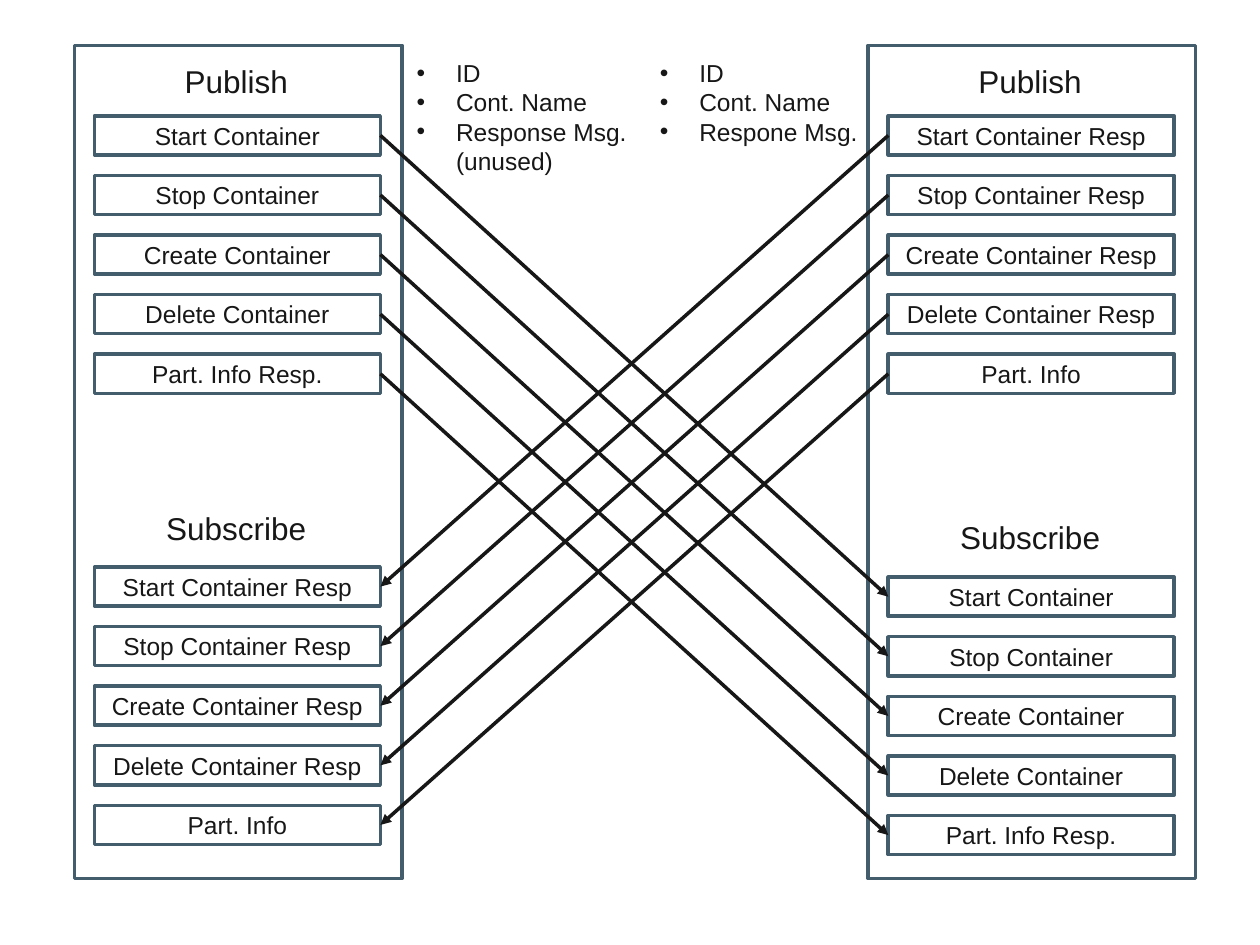
from pptx import Presentation
from pptx.dml.color import RGBColor
from pptx.enum.shapes import MSO_CONNECTOR as Connector, MSO_SHAPE as Shape
from pptx.enum.text import MSO_ANCHOR as Anchor, MSO_AUTO_SIZE as AutoSize, PP_ALIGN as Align
from pptx.oxml.ns import qn
from pptx.util import Pt
from lxml.etree import SubElement

WHITE = RGBColor(0xFF, 0xFF, 0xFF)
SLATE = RGBColor(0x43, 0x5D, 0x6C)
INK = RGBColor(0x17, 0x17, 0x17)

PANEL_TOP, PANEL_WIDTH, PANEL_HEIGHT = 25.9, 187.2, 476.2
TOPIC_INSET, TOPIC_WIDTH, TOPIC_HEIGHT, TOPIC_PITCH = 11.5, 163.4, 22.4, 34.05
LEFT_PANEL, RIGHT_PANEL = 42.5, 496.1
PUBLISH_TOP, LEFT_SUBSCRIBE_TOP, RIGHT_SUBSCRIBE_TOP = 66.2, 324, 329.8
BULLET_INDENT = 22.5

REQUESTS = ["Start Container", "Stop Container", "Create Container",
            "Delete Container", "Part. Info Resp."]
RESPONSES = ["Start Container Resp", "Stop Container Resp", "Create Container Resp",
             "Delete Container Resp", "Part. Info"]


def apply_format(target, values):
    for name, value in values.items():
        setattr(target, name, value)


def write_paragraph(paragraph, text, size, alignment):
    paragraph.alignment = alignment
    run = paragraph.add_run()
    run.text = text
    apply_format(run.font, {"name": "Arial", "size": Pt(size)})
    run.font.color.rgb = INK


def add_box(slide, left, top, width, height, text=None):
    shape = slide.shapes.add_shape(Shape.RECTANGLE, Pt(left), Pt(top), Pt(width), Pt(height))
    shape.shadow.inherit = False
    shape.fill.solid()
    shape.fill.fore_color.rgb = WHITE
    shape.line.color.rgb = SLATE
    shape.line.width = Pt(2)
    if text:
        apply_format(shape.text_frame, {"vertical_anchor": Anchor.MIDDLE, "word_wrap": True,
                                        "margin_top": 0, "margin_bottom": 0})
        write_paragraph(shape.text_frame.paragraphs[0], text, 14, Align.CENTER)


def add_text_frame(slide, left, top, width, height, wrap):
    frame = slide.shapes.add_textbox(Pt(left), Pt(top), Pt(width), Pt(height)).text_frame
    apply_format(frame, {"word_wrap": wrap, "auto_size": AutoSize.SHAPE_TO_FIT_TEXT})
    return frame


def add_heading(slide, panel_left, top, text):
    frame = add_text_frame(slide, panel_left + 45, top, 95, 29, True)
    write_paragraph(frame.paragraphs[0], text, 18, Align.CENTER)


def add_bullets(slide, left, width, height, items, wrap):
    frame = add_text_frame(slide, left, 29.6, width, height, wrap)
    for index, item in enumerate(items):
        paragraph = frame.add_paragraph() if index else frame.paragraphs[0]
        write_paragraph(paragraph, item, 14, Align.LEFT)
        properties = paragraph._p.get_or_add_pPr()
        properties.set("marL", str(Pt(BULLET_INDENT)))
        properties.set("indent", str(-Pt(BULLET_INDENT)))
        SubElement(properties, qn("a:buFont"), typeface="Arial")
        SubElement(properties, qn("a:buChar"), char="•")


def add_topics(slide, panel_left, top, topics):
    for index, topic in enumerate(topics):
        add_box(slide, panel_left + TOPIC_INSET, top + index * TOPIC_PITCH,
                TOPIC_WIDTH, TOPIC_HEIGHT, topic)


def add_arrow(slide, start_x, start_y, end_x, end_y):
    connector = slide.shapes.add_connector(
        Connector.STRAIGHT, Pt(start_x), Pt(start_y), Pt(end_x), Pt(end_y))
    connector.line.color.rgb = INK
    connector.line.width = Pt(2)
    SubElement(connector.line._get_or_add_ln(), qn("a:tailEnd"), type="triangle")
    SubElement(connector._element.spPr, qn("a:effectLst"))


def add_topic_arrows(slide, start_x, end_x, end_top):
    """Link each published topic to the matching subscription across the slide."""
    for index in range(len(REQUESTS)):
        offset = index * TOPIC_PITCH + TOPIC_HEIGHT / 2
        add_arrow(slide, start_x, PUBLISH_TOP + offset, end_x, end_top + offset)


def add_panel(slide, left, published, subscribed, subscribe_top, subscribe_heading_top):
    add_box(slide, left, PANEL_TOP, PANEL_WIDTH, PANEL_HEIGHT)
    add_heading(slide, left, 31.7, "Publish")
    add_topics(slide, left, PUBLISH_TOP, published)
    add_heading(slide, left, subscribe_heading_top, "Subscribe")
    add_topics(slide, left, subscribe_top, subscribed)


def main():
    presentation = Presentation()
    apply_format(presentation, {"slide_width": Pt(720), "slide_height": Pt(540)})
    slide = presentation.slides.add_slide(presentation.slide_layouts.get_by_name("Blank"))

    add_panel(slide, LEFT_PANEL, REQUESTS, RESPONSES, LEFT_SUBSCRIBE_TOP, 287.3)
    add_panel(slide, RIGHT_PANEL, RESPONSES, REQUESTS, RIGHT_SUBSCRIBE_TOP, 292.5)

    left_edge = LEFT_PANEL + TOPIC_INSET + TOPIC_WIDTH
    right_edge = RIGHT_PANEL + TOPIC_INSET
    add_topic_arrows(slide, left_edge, right_edge, RIGHT_SUBSCRIBE_TOP)
    add_topic_arrows(slide, right_edge, left_edge, LEFT_SUBSCRIBE_TOP)

    add_bullets(slide, 231, 137.5, 92, ["ID", "Cont. Name", "Response Msg. (unused)"], True)
    add_bullets(slide, 370, 128.2, 75, ["ID", "Cont. Name", "Respone Msg."], False)

    presentation.save("out.pptx")


if __name__ == "__main__":
    main()
